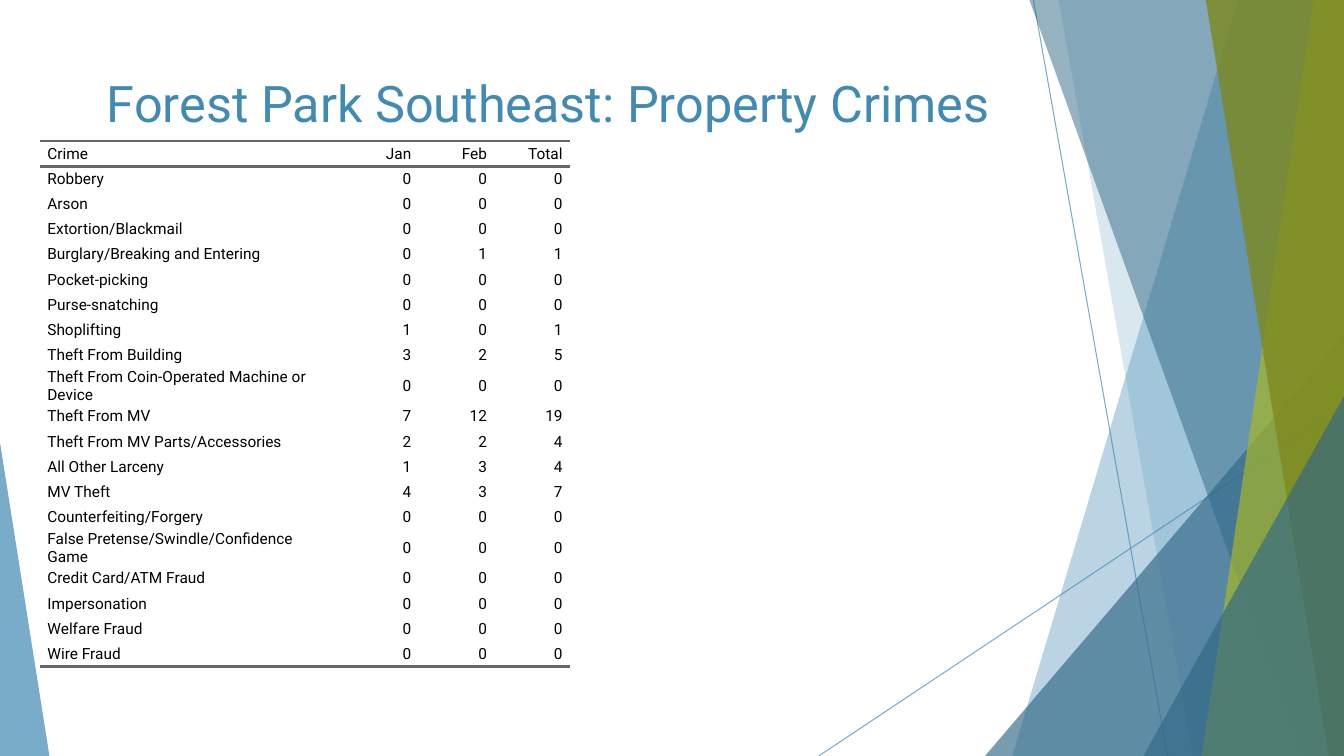
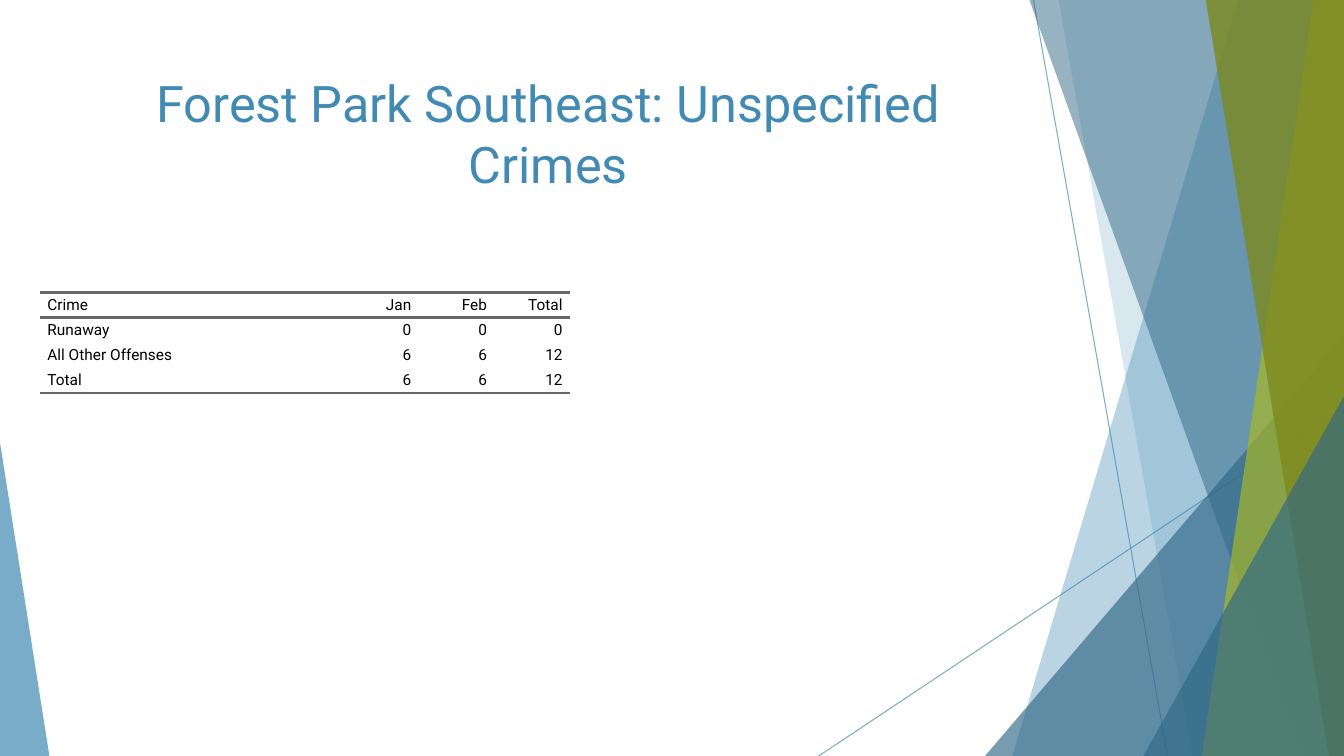
from lxml import etree
from pptx import Presentation
from pptx.dml import color
from pptx.enum import shapes, text
from pptx.oxml import ns
from pptx.util import Inches, Pt

WIDTH, HEIGHT = 13.33, 7.5
FONT = "Roboto"
COLORS = {
    "blue": "418AB3",
    "navy": "316886",
    "lime": "A6B727",
    "olive": "7D891D",
    "rule": "666666",
    "ink": "000000",
}
NO_GRID_STYLE = "{2D5ABB26-0587-4C30-8999-92F81FD0307C}"
COLUMN_WIDTHS = (3, 0.75, 0.75, 0.75)
ROW_HEIGHT = 0.25
HEADER = ("Crime", "Jan", "Feb", "Total")

PROPERTY_CRIMES = [
    ("Robbery", 0, 0, 0),
    ("Arson", 0, 0, 0),
    ("Extortion/Blackmail", 0, 0, 0),
    ("Burglary/Breaking and Entering", 0, 1, 1),
    ("Pocket-picking", 0, 0, 0),
    ("Purse-snatching", 0, 0, 0),
    ("Shoplifting", 1, 0, 1),
    ("Theft From Building", 3, 2, 5),
    ("Theft From Coin-Operated Machine or Device", 0, 0, 0),
    ("Theft From MV", 7, 12, 19),
    ("Theft From MV Parts/Accessories", 2, 2, 4),
    ("All Other Larceny", 1, 3, 4),
    ("MV Theft", 4, 3, 7),
    ("Counterfeiting/Forgery", 0, 0, 0),
    ("False Pretense/Swindle/Confidence Game", 0, 0, 0),
    ("Credit Card/ATM Fraud", 0, 0, 0),
    ("Impersonation", 0, 0, 0),
    ("Welfare Fraud", 0, 0, 0),
    ("Wire Fraud", 0, 0, 0),
]
UNSPECIFIED_CRIMES = [
    ("Runaway", 0, 0, 0),
    ("All Other Offenses", 6, 6, 12),
    ("Total", 6, 6, 12),
]


def rgb(name):
    return color.RGBColor.from_string(COLORS[name])


def set_opacity(fill_parent, percent):
    """Make the solid colour inside an element partly transparent."""
    solid = fill_parent.find(ns.qn("a:solidFill"))
    etree.SubElement(solid[0], ns.qn("a:alpha"), val=str(percent * 1000))


def paint(shape, fill, opacity):
    shape.shadow.inherit = False
    shape.fill.solid()
    shape.fill.fore_color.rgb = rgb(fill)
    shape.line.fill.background()
    set_opacity(shape._element.spPr, opacity)


def add_line(slide, start, end):
    line = slide.shapes.add_connector(
        shapes.MSO_CONNECTOR.STRAIGHT, *map(Inches, start + end))
    line.line.color.rgb = rgb("blue")
    line.line.width = Pt(0.75)
    properties = line._element.spPr
    set_opacity(properties.find(ns.qn("a:ln")), 70)
    etree.SubElement(properties, ns.qn("a:effectLst"))


def add_band(slide, top_x, bottom_x, fill, opacity):
    """Fill the slide from a slanted left edge to its right side."""
    right, bottom = Inches(WIDTH), Inches(HEIGHT)
    builder = slide.shapes.build_freeform(Inches(top_x), 0)
    builder.add_line_segments(
        [(right, 0), (right, bottom), (Inches(bottom_x), bottom)])
    paint(builder.convert_to_shape(), fill, opacity)


def add_corner(slide, left, top, width, peak, fill, opacity):
    """Add a triangle standing on the slide's bottom; peak 0 is left, 1 right."""
    shape = slide.shapes.add_shape(
        shapes.MSO_SHAPE.ISOSCELES_TRIANGLE,
        *map(Inches, (left, top, width, HEIGHT - top)))
    shape.adjustments[0] = peak
    paint(shape, fill, opacity)


def add_backdrop(slide):
    add_line(slide, (10.25, 0), (11.58, HEIGHT))
    add_line(slide, (WIDTH, 4.03), (8.12, HEIGHT))
    add_band(slide, 12.28, 10.04, "blue", 36)
    add_band(slide, 10.5, 11.83, "blue", 20)
    add_corner(slide, 9.77, 3.33, 3.56, 1, "navy", 66)
    add_band(slide, 10.21, 12.91, "navy", 50)
    add_band(slide, 13.03, 11.92, "lime", 70)
    add_band(slide, 11.96, 13.18, "olive", 80)
    add_corner(slide, 11.34, 3.93, 1.99, 1, "navy", 66)
    add_corner(slide, 0, 4.39, 0.49, 0, "blue", 70)


def format_runs(paragraph, size, name):
    for run in paragraph.runs:
        run.font.name = FONT
        run.font.size = Pt(size)
        run.font.color.rgb = rgb(name)


def add_title(slide, title):
    box = slide.shapes.add_textbox(*map(Inches, (0.74, 0.67, 9.4, 1.44)))
    frame = box.text_frame
    frame.word_wrap = True
    frame.vertical_anchor = text.MSO_ANCHOR.TOP
    frame.text = title
    paragraph = frame.paragraphs[0]
    paragraph.alignment = text.PP_ALIGN.CENTER
    format_runs(paragraph, 36, "blue")


def add_rule(cell, side):
    properties = cell._tc.get_or_add_tcPr()
    line = etree.SubElement(properties, ns.qn(f"a:ln{side}"), w=str(Pt(2)))
    solid = etree.SubElement(line, ns.qn("a:solidFill"))
    etree.SubElement(solid, ns.qn("a:srgbClr"), val=COLORS["rule"])


def fill_cell(cell, value, is_label, ruled_sides):
    for side in ruled_sides:
        add_rule(cell, side)
    cell.fill.background()
    cell.margin_left = cell.margin_right = Inches(0.07)
    cell.margin_top = cell.margin_bottom = 0
    cell.vertical_anchor = text.MSO_ANCHOR.MIDDLE
    cell.text_frame.text = str(value)
    paragraph = cell.text_frame.paragraphs[0]
    paragraph.alignment = (
        text.PP_ALIGN.LEFT if is_label else text.PP_ALIGN.RIGHT)
    format_runs(paragraph, 11, "ink")


def add_crime_table(slide, top, crimes):
    rows = [HEADER, *crimes]
    frame = slide.shapes.add_table(
        len(rows), len(HEADER), Inches(0.4), Inches(top),
        Inches(sum(COLUMN_WIDTHS)), Inches(ROW_HEIGHT * len(rows)))
    table = frame.table
    table.horz_banding = False
    table._tbl.tblPr.find(ns.qn("a:tableStyleId")).text = NO_GRID_STYLE
    for column, width in zip(table.columns, COLUMN_WIDTHS):
        column.width = Inches(width)
    ruled_rows = {0: "TB", len(rows) - 1: "B"}
    for row_index, values in enumerate(rows):
        table.rows[row_index].height = Inches(ROW_HEIGHT)
        for column_index, value in enumerate(values):
            fill_cell(table.cell(row_index, column_index), value,
                      column_index == 0, ruled_rows.get(row_index, ""))


def add_crime_slide(presentation, category, table_top, crimes):
    slide = presentation.slides.add_slide(presentation.slide_layouts[6])
    add_backdrop(slide)
    add_crime_table(slide, table_top, crimes)
    add_title(slide, f"Forest Park Southeast: {category} Crimes")


def main():
    presentation = Presentation()
    presentation.slide_width = Inches(WIDTH)
    presentation.slide_height = Inches(HEIGHT)
    add_crime_slide(presentation, "Property", 1.4, PROPERTY_CRIMES)
    add_crime_slide(presentation, "Unspecified", 2.9, UNSPECIFIED_CRIMES)
    presentation.save("out.pptx")


if __name__ == "__main__":
    main()
